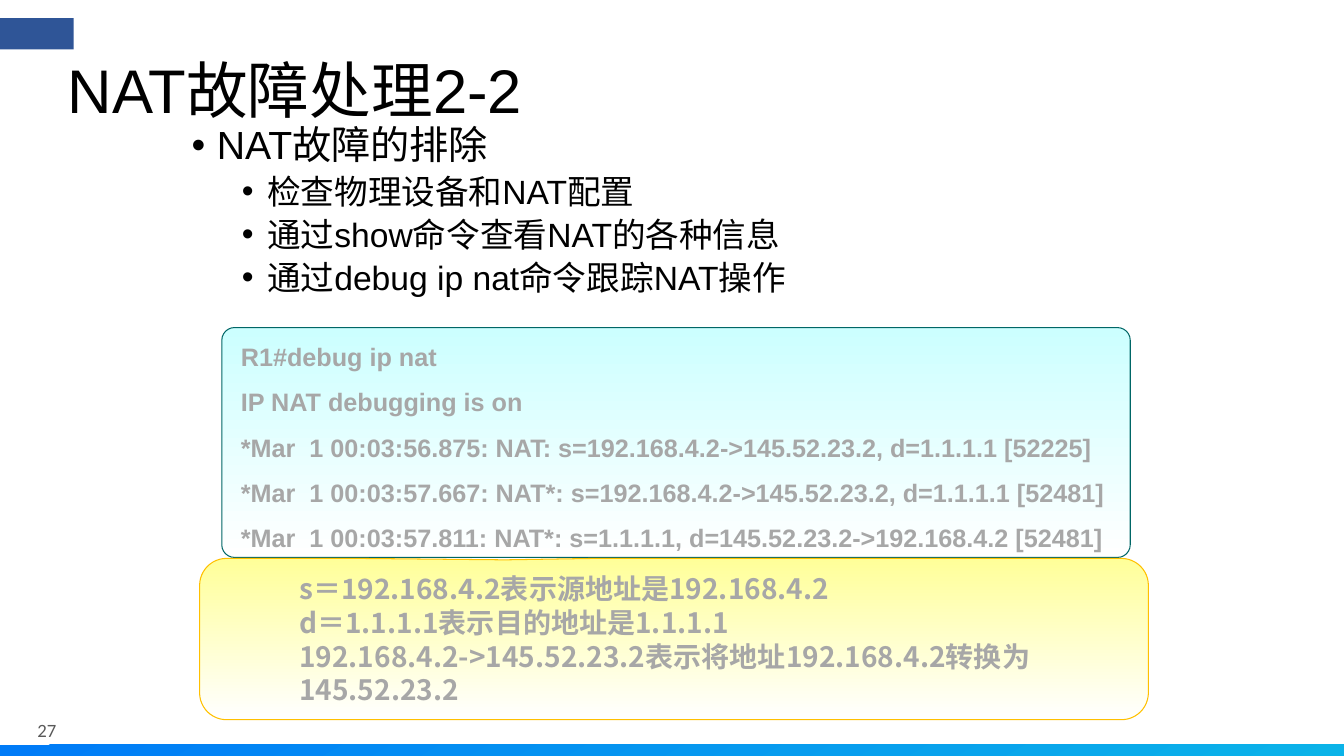
from lxml import etree
from pptx import Presentation
from pptx.dml.color import RGBColor
from pptx.enum.shapes import MSO_SHAPE
from pptx.enum.text import MSO_ANCHOR, MSO_AUTO_SIZE, PP_ALIGN
from pptx.oxml.ns import qn
from pptx.util import Inches, Pt

RECTANGLE = MSO_SHAPE.RECTANGLE
ROUNDED = MSO_SHAPE.ROUNDED_RECTANGLE
CALLOUT = MSO_SHAPE.ROUNDED_RECTANGULAR_CALLOUT
TOP, MIDDLE = MSO_ANCHOR.TOP, MSO_ANCHOR.MIDDLE
LEFT = PP_ALIGN.LEFT
NO_AUTO_SIZE = MSO_AUTO_SIZE.NONE

BLACK = RGBColor(0x00, 0x00, 0x00)
WHITE = RGBColor(0xFF, 0xFF, 0xFF)
GRAY = RGBColor(0xA7, 0xA7, 0xA7)
DARK_GRAY = RGBColor(0x5A, 0x5A, 0x5A)
NAVY = RGBColor(0x2F, 0x55, 0x97)
BLUE = RGBColor(0x00, 0x7B, 0xF7)
SKY = RGBColor(0x0B, 0xB3, 0xE8)
CYAN = RGBColor(0xCC, 0xFF, 0xFF)
TEAL = RGBColor(0x00, 0x66, 0x66)
YELLOW = RGBColor(0xFF, 0xFF, 0x99)
GOLD = RGBColor(0xFF, 0xC0, 0x00)

CHINESE_FONT = "Noto Sans CJK SC"

TITLE = "NAT故障处理2-2"
BULLETS = [
    (0, "NAT故障的排除"),
    (1, "检查物理设备和NAT配置"),
    (1, "通过show命令查看NAT的各种信息"),
    (1, "通过debug ip nat命令跟踪NAT操作"),
]
DEBUG_OUTPUT = [
    "R1#debug ip nat",
    "IP NAT debugging is on",
    "*Mar  1 00:03:56.875: NAT: s=192.168.4.2->145.52.23.2, d=1.1.1.1 [52225]",
    "*Mar  1 00:03:57.667: NAT*: s=192.168.4.2->145.52.23.2, d=1.1.1.1 [52481]",
    "*Mar  1 00:03:57.811: NAT*: s=1.1.1.1, d=145.52.23.2->192.168.4.2 [52481]",
]
EXPLANATION = [
    "s＝192.168.4.2表示源地址是192.168.4.2",
    "d＝1.1.1.1表示目的地址是1.1.1.1",
    "192.168.4.2->145.52.23.2表示将地址192.168.4.2转换为 145.52.23.2",
]


def set_attributes(target, values):
    for name, value in values.items():
        setattr(target, name, value)


def place(shape, box):
    names = ("left", "top", "width", "height")
    set_attributes(shape, dict(zip(names, map(Inches, box))))


def set_frame(frame, anchor, side=0.0, vertical=0.0):
    set_attributes(frame, {
        "auto_size": NO_AUTO_SIZE, "word_wrap": True,
        "vertical_anchor": anchor,
        "margin_left": Inches(side), "margin_right": Inches(side),
        "margin_top": Inches(vertical), "margin_bottom": Inches(vertical),
    })


def set_indent(paragraph, margin, first_line, bullet=None):
    properties = paragraph._p.get_or_add_pPr()
    properties.set("marL", str(Inches(margin)))
    properties.set("indent", str(Inches(first_line)))
    if bullet:
        font = etree.SubElement(properties, qn("a:buFont"))
        font.set("typeface", "Arial")
        etree.SubElement(properties, qn("a:buChar")).set("char", bullet)


def add_text(paragraph, text, size, color, font="Arial", bold=False):
    run = paragraph.add_run()
    run.text = text
    set_attributes(run.font, {"size": Pt(size), "name": font, "bold": bold})
    run.font.color.rgb = color
    east_asian = etree.SubElement(run._r.get_or_add_rPr(), qn("a:ea"))
    east_asian.set("typeface", CHINESE_FONT)


def paragraphs(frame, count):
    """Return count paragraphs, the first being the one the frame already has."""
    return [frame.paragraphs[0]] + [frame.add_paragraph() for _ in range(count - 1)]


def add_panel(slide, kind, box, colors, angle=270, line=None):
    """Add a shape with a solid fill (one colour) or a gradient (two)."""
    shape = slide.shapes.add_shape(kind, *map(Inches, box))
    shape.shadow.inherit = False
    if len(colors) == 1:
        shape.fill.solid()
        shape.fill.fore_color.rgb = colors[0]
    else:
        shape.fill.gradient()
        shape.fill.gradient_angle = angle
        for stop, position, color in zip(shape.fill.gradient_stops, (0, 1), colors):
            stop.position = position
            stop.color.rgb = color
    if line is None:
        shape.line.fill.background()
    else:
        shape.line.color.rgb = line
        shape.line.width = Pt(0.75)
    return shape


def add_decoration(slide, width, height):
    add_panel(slide, RECTANGLE, (0, height - 0.11, width, 0.13), (BLUE, SKY), 300)
    add_panel(slide, RECTANGLE, (0, 0.18, 0.73, 0.31), (NAVY,))
    number = slide.shapes.add_textbox(*map(Inches, (0.37, height - 0.37, 0.74, 0.22)))
    set_frame(number.text_frame, MIDDLE)
    add_text(number.text_frame.paragraphs[0], "27", 13.4, DARK_GRAY, "Calibri")


def fill_title(title, box):
    place(title, box)
    set_frame(title.text_frame, MIDDLE)
    paragraph = title.text_frame.paragraphs[0]
    set_attributes(paragraph, {"alignment": LEFT, "line_spacing": 0.9})
    add_text(paragraph, TITLE, 44, BLACK)


def fill_bullets(body, box):
    place(body, box)
    set_frame(body.text_frame, TOP)
    lines = paragraphs(body.text_frame, len(BULLETS))
    for paragraph, (level, text) in zip(lines, BULLETS):
        set_indent(paragraph, 0.25 + 0.5 * level, -0.25, "•")
        set_attributes(paragraph, {
            "level": level, "line_spacing": 0.9,
            "space_before": Pt(4.8 * level),
        })
        add_text(paragraph, text, 28 - 4 * level, BLACK)


def add_debug_output(slide, box):
    left, top, width, height = box
    panel = add_panel(slide, ROUNDED, box, (CYAN, WHITE), line=TEAL)
    panel.adjustments[0] = 0.055
    text_box = (left - 0.2, top - 0.05, width + 0.24, height + 0.04)
    frame = slide.shapes.add_textbox(*map(Inches, text_box)).text_frame
    set_frame(frame, MIDDLE, 0.1, 0.05)
    for paragraph, text in zip(paragraphs(frame, len(DEBUG_OUTPUT)), DEBUG_OUTPUT):
        set_indent(paragraph, 0, 0.29)
        paragraph.line_spacing = 1.5
        add_text(paragraph, text, 18, GRAY, bold=True)


def add_explanation(slide, box):
    callout = add_panel(slide, CALLOUT, box, (YELLOW, WHITE), line=GOLD)
    for index, value in enumerate((-0.178, -0.491, 0.167)):
        callout.adjustments[index] = value
    frame = callout.text_frame
    set_frame(frame, MIDDLE, 0.1, 0.05)
    frame.margin_left = Inches(0.91)
    for paragraph, text in zip(paragraphs(frame, len(EXPLANATION)), EXPLANATION):
        paragraph.alignment = LEFT
        add_text(paragraph, text, 20, GRAY, CHINESE_FONT, bold=True)


def main():
    width, height = 13.33, 7.5
    presentation = Presentation()
    presentation.slide_width = Inches(width)
    presentation.slide_height = Inches(height)
    slide = presentation.slides.add_slide(presentation.slide_layouts[1])
    add_decoration(slide, width, height)
    fill_bullets(slide.placeholders[1], (1.9, 1.25, 9.3, 1.95))
    fill_title(slide.shapes.title, (0.67, 0.3, 12, 1.25))
    add_debug_output(slide, (2.2, 3.25, 9.01, 2.28))
    add_explanation(slide, (1.98, 5.54, 9.41, 1.6))
    presentation.save("out.pptx")


if __name__ == "__main__":
    main()
